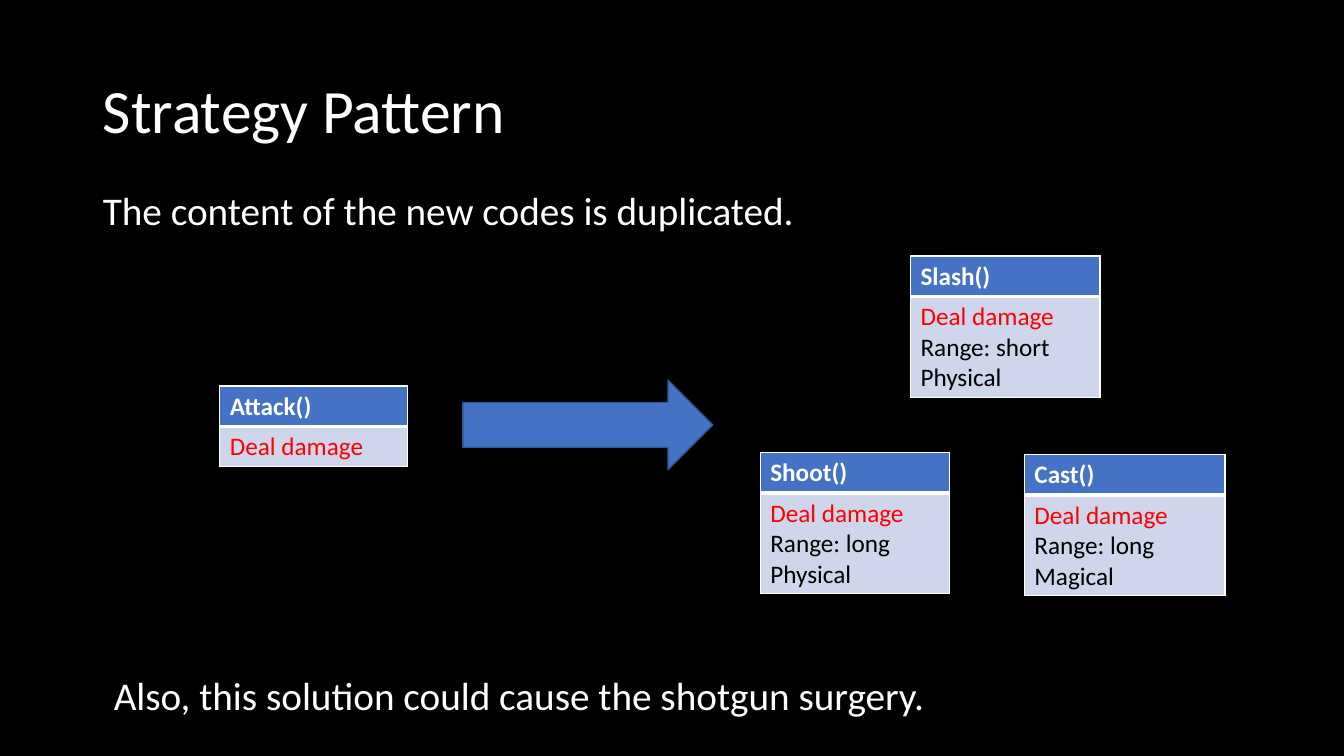
"""Build the Strategy Pattern slide on duplicated attack code."""
from lxml import etree
from pptx import Presentation
from pptx.dml.color import RGBColor
from pptx.enum import shapes, text
from pptx.oxml import ns
from pptx.util import Inches, Pt

COLORS = {
    "background": "000000",
    "light": "FFFFFF",
    "accent": "4472C4",
    "arrow_line": "325491",
    "table_body": "CFD5EA",
    "shared": "FF0000",
    "dark": "000000",
}


def style_paragraph(para, size, color, bold=False):
    para.alignment = text.PP_ALIGN.LEFT
    for span in para.runs:
        span.font.name = "Calibri"
        span.font.size = Pt(size)
        span.font.bold = bold
        span.font.color.rgb = RGBColor.from_string(COLORS[color])


def add_border(cell, side, width):
    line = etree.SubElement(cell._tc.get_or_add_tcPr(), ns.qn(f"a:ln{side}"), w=str(Pt(width)))
    fill = etree.SubElement(line, ns.qn("a:solidFill"))
    etree.SubElement(fill, ns.qn("a:srgbClr"), val=COLORS["light"])


deck = Presentation()
deck.slide_width, deck.slide_height = Inches(13.33), Inches(7.5)
page = deck.slides.add_slide(deck.slide_layouts[1])
page.background.fill.solid()
page.background.fill.fore_color.rgb = RGBColor.from_string(COLORS["background"])

title, body = page.placeholders
closing = page.shapes.add_textbox(Inches(1.03), Inches(6.61), Inches(10.59), Inches(0.57))
title.left, title.top, title.width, title.height = map(Inches, (0.92, 0.4, 11.5, 1.45))
body.left, body.top, body.width, body.height = map(Inches, (0.92, 1.85, 11.5, 4.76))

for box, wording, size in [
    (title, "Strategy Pattern", 44),
    (body, "The content of the new codes is duplicated.", 28),
    (closing, "Also, this solution could cause the shotgun surgery.", 28),
]:
    box.text_frame.text = wording
    box.text_frame.word_wrap = True
    style_paragraph(box.text_frame.paragraphs[0], size, "light")

title.text_frame.vertical_anchor = text.MSO_ANCHOR.MIDDLE
title.text_frame.paragraphs[0].line_spacing = 0.9
statement = body.text_frame.paragraphs[0]
statement.line_spacing = 0.9
statement.space_before = Pt(10)
properties = statement._p.get_or_add_pPr()
properties.set("marL", "0")
properties.set("indent", "0")
etree.SubElement(properties, ns.qn("a:buNone"))

methods = [
    ("Attack()", ["Deal damage"], 2.18, 3.83, 1.86),
    ("Slash()", ["Deal damage", "Range: short", "Physical"], 9.03, 2.54, 1.88),
    ("Shoot()", ["Deal damage", "Range: long", "Physical"], 7.54, 4.49, 1.88),
    ("Cast()", ["Deal damage", "Range: long", "Magical"], 10.16, 4.51, 1.99),
]
header_height = 0.4
for name, steps, left, top, width in methods:
    steps_height = 0.1 + 0.3 * len(steps)
    table = page.shapes.add_table(
        2, 1, Inches(left), Inches(top), Inches(width), Inches(header_height + steps_height)
    ).table
    table.rows[0].height = Inches(header_height)
    table.rows[1].height = Inches(steps_height)
    header, content = table.cell(0, 0), table.cell(1, 0)
    header.text = name
    content.text = "\n".join(steps)
    style_paragraph(header.text_frame.paragraphs[0], 18, "light", bold=True)
    for index, para in enumerate(content.text_frame.paragraphs):
        style_paragraph(para, 18, "dark" if index else "shared")
    for cell, color, widths in [
        (header, "accent", {"L": 1, "R": 1, "T": 1, "B": 3}),
        (content, "table_body", {"L": 1, "R": 1, "T": 3, "B": 1}),
    ]:
        for side, border_width in widths.items():
            add_border(cell, side, border_width)
        cell.fill.solid()
        cell.fill.fore_color.rgb = RGBColor.from_string(COLORS[color])

arrow = page.shapes.add_shape(
    shapes.MSO_SHAPE.RIGHT_ARROW, Inches(4.59), Inches(3.77), Inches(2.48), Inches(0.89)
)
arrow.shadow.inherit = False
arrow.fill.solid()
arrow.fill.fore_color.rgb = RGBColor.from_string(COLORS["accent"])
arrow.line.color.rgb = RGBColor.from_string(COLORS["arrow_line"])
arrow.line.width = Pt(1)

deck.save("out.pptx")
